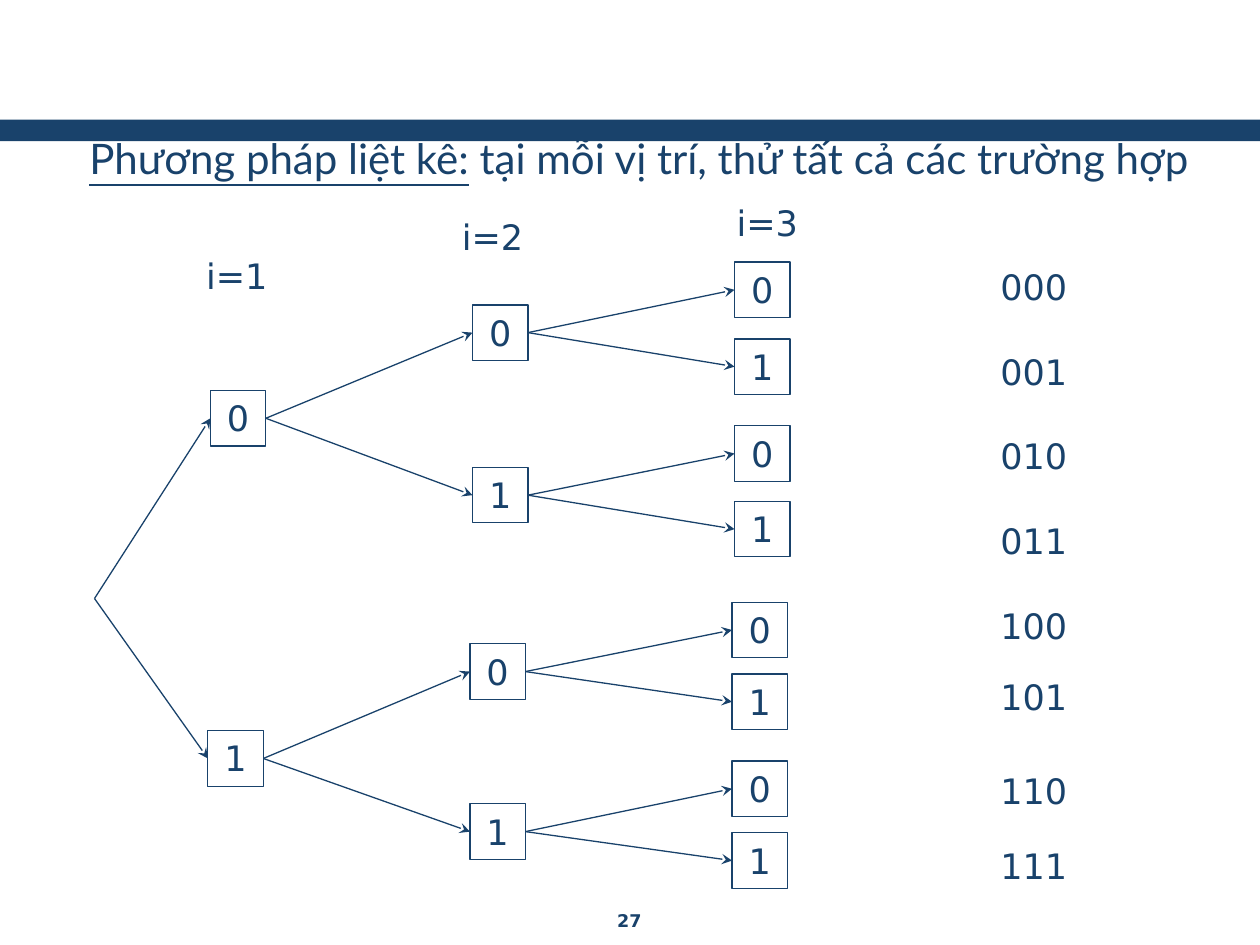
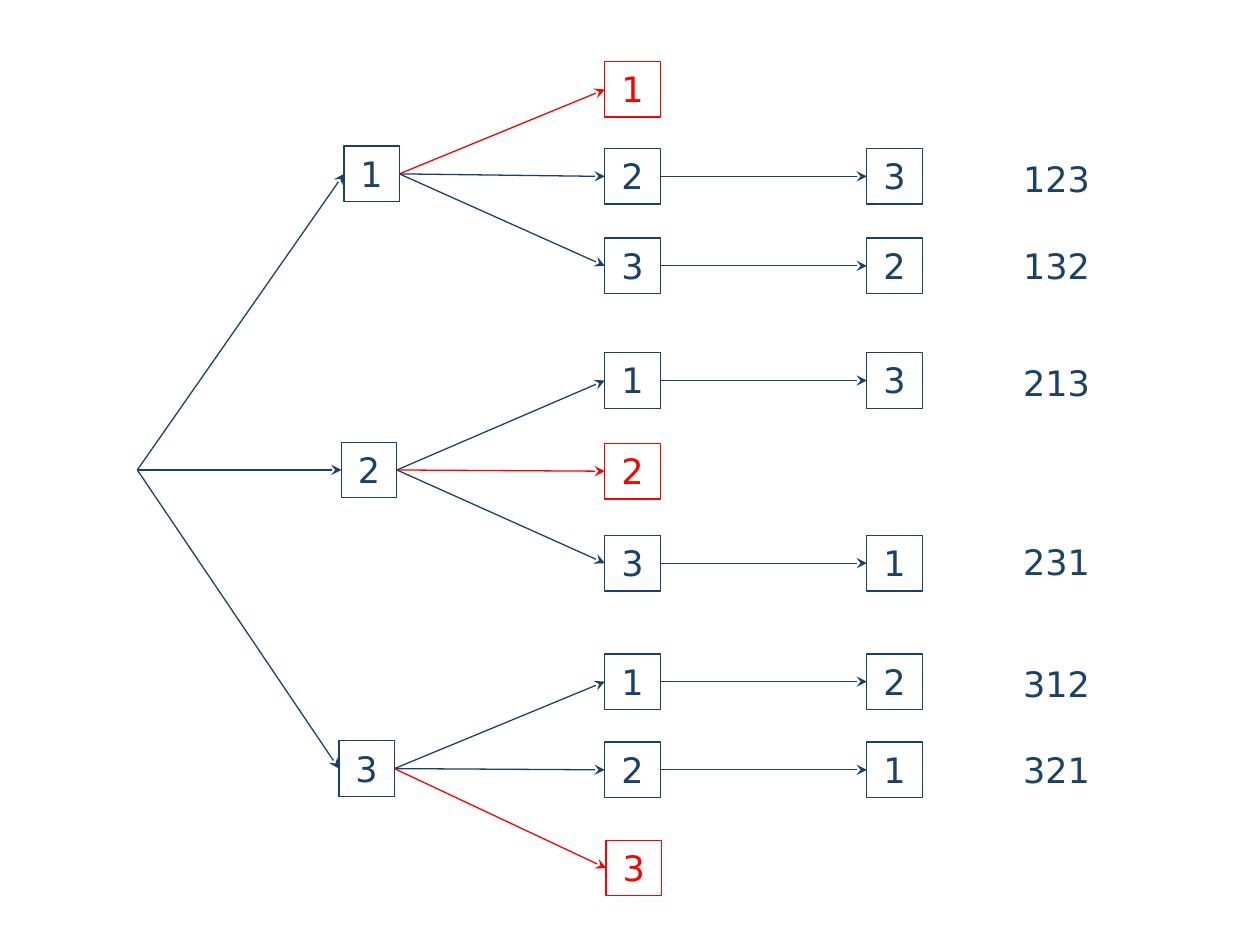
"""Builds two slides of search trees that list binary strings and permutations."""
from lxml import etree
from pptx import Presentation
from pptx.dml.color import RGBColor
from pptx.enum.shapes import MSO_CONNECTOR, MSO_SHAPE
from pptx.enum.text import MSO_ANCHOR, MSO_AUTO_SIZE, PP_ALIGN
from pptx.oxml.ns import qn
from pptx.util import Inches, Pt

RECT, STRAIGHT = MSO_SHAPE.RECTANGLE, MSO_CONNECTOR.STRAIGHT
CENTER, LEFT, TOP = PP_ALIGN.CENTER, PP_ALIGN.LEFT, MSO_ANCHOR.TOP
GROW, FIXED = MSO_AUTO_SIZE.SHAPE_TO_FIT_TEXT, MSO_AUTO_SIZE.NONE
NAVY, RED = "19426B", "FF0000"
BODY_FONT, TITLE_FONT = "DejaVu Sans", "Lato"

prs = Presentation()
prs.slide_width, prs.slide_height = Inches(10), Inches(7.5)
COL, ROW = prs.slide_width / 100, prs.slide_height / 75
BOX, LABEL_W, HEAD_W = 4.4, 7.5, 9.2
RIGHT_SIDE, LEFT_SIDE = 3, 1


def color(hex_string):
    return RGBColor.from_string(hex_string)


def add_text(s, text, x, y, w, h=BOX, size=20, font=BODY_FONT, ink=NAVY, bold=False,
             align=CENTER, fit=GROW, indent=0, underlined="", boxed=False):
    place = int(x * COL), int(y * ROW), int(w * COL), int(h * ROW)
    if boxed:
        sp = s.shapes.add_shape(RECT, *place)
        sp.shadow.inherit = False
        sp.fill.background()
        sp.line.color.rgb = color(ink)
        sp.line.width = Pt(0.75)
    else:
        sp = s.shapes.add_textbox(*place)
    tf = sp.text_frame
    tf.word_wrap, tf.auto_size, tf.vertical_anchor = True, fit, TOP
    tf.margin_left += int(indent * COL)
    p = tf.paragraphs[0]
    p.alignment = align
    for part, underline in ((underlined, True), (text, False)):
        if part:
            r = p.add_run()
            r.text = part
            r.font.name, r.font.size, r.font.bold = font, Pt(size), bold
            r.font.underline = underline
            r.font.color.rgb = color(ink)
    return sp


binary = {
    "root": (7.5, 47.5),
    "lefts": (16.7, 37.5, 58.3),
    "shifts": {"0": 0, "1": -0.2},
    "repeats": True,
    "tops": {
        "0": 31, "00": 24.2, "01": 37.1,
        "000": 20.8, "001": 26.9, "010": 33.8, "011": 39.8,
        "1": 58, "10": 51.1, "11": 63.8,
        "100": 47.8, "101": 53.5, "110": 60.4, "111": 66.1,
    },
    "label_left": 78.3,
    "label_tops": {"000": 20.6, "001": 27.3, "010": 34, "011": 40.7,
                   "100": 47.5, "101": 53.1, "110": 60.6, "111": 66.5},
}
permutations = {
    "root": (10.9, 37.3),
    "lefts": (27.3, 48, 68.8),
    "shifts": {"1": 0, "2": -0.2, "3": -0.4, "33": 0.1},
    "repeats": False,
    "tops": {
        "1": 11.6, "11": 4.9, "12": 11.8, "13": 18.9, "123": 11.8, "132": 18.9,
        "2": 35.1, "21": 28, "22": 35.2, "23": 42.5, "213": 28, "231": 42.5,
        "3": 58.8, "31": 51.9, "32": 58.9, "33": 66.7, "312": 51.9, "321": 58.9,
    },
    "label_left": 80.1,
    "label_tops": {"123": 12, "132": 18.9, "213": 28.2, "231": 42.4,
                   "312": 52.1, "321": 58.9},
}

slides = []
for tree in (binary, permutations):
    s = prs.slides.add_slide(prs.slide_layouts[6])
    slides.append(s)
    nodes = {}
    for word, top in tree["tops"].items():
        parent, digit = word[:-1], word[-1]
        ink = RED if digit in parent and not tree["repeats"] else NAVY
        shift_key = word[0] if tree["repeats"] else word
        left = tree["lefts"][len(word) - 1] + tree["shifts"].get(shift_key, 0)
        nodes[word] = add_text(s, digit, left, top, BOX, ink=ink, boxed=True)

        x, y = tree["root"]
        line = s.shapes.add_connector(STRAIGHT, int(x * COL), int(y * ROW),
                                      int(left * COL), int((top + BOX / 2) * ROW))
        if parent:
            line.begin_connect(nodes[parent], RIGHT_SIDE)
        line.end_connect(nodes[word], LEFT_SIDE)
        line.line.color.rgb = color(ink)
        line.line.width = Pt(0.75)
        etree.SubElement(line.line._get_or_add_ln(), qn("a:tailEnd"), type="stealth")
        etree.SubElement(line._element.spPr, qn("a:effectLst"))

    for word, top in tree["label_tops"].items():
        add_text(s, word, tree["label_left"], top, LABEL_W)

s = slides[0]
band = s.shapes.add_shape(RECT, 0, int(9.5 * ROW), prs.slide_width, int(1.7 * ROW))
band.shadow.inherit = False
band.fill.solid()
band.fill.fore_color.rgb = color(NAVY)
band.line.fill.background()

add_text(s, " tại mỗi vị trí, thử tất cả các trường hợp", 1.7, 10, 96.7, 5.8, size=24,
         font=TITLE_FONT, align=LEFT, fit=FIXED, indent=4.4,
         underlined="Phương pháp liệt kê:")
for i, (left, top) in enumerate(((14.2, 19.7), (34.5, 16.6), (56.3, 15.5)), 1):
    add_text(s, f"i={i}", left, top, HEAD_W)
add_text(s, "27", 38.3, 71.7, 23.3, 2.6, size=10, bold=True, fit=FIXED)

prs.save("out.pptx")
